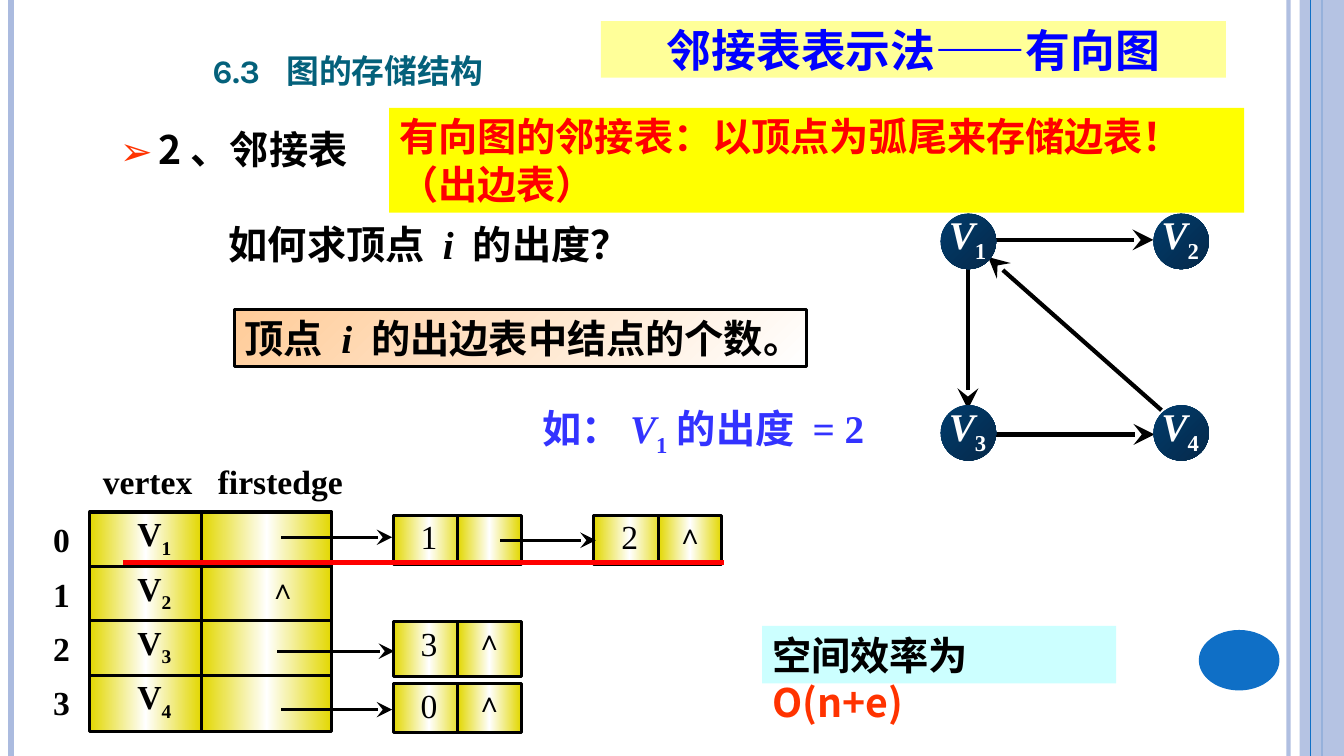
from lxml import etree
from pptx import Presentation
from pptx import util as u
from pptx.dml.color import RGBColor
from pptx.enum import shapes, text
from pptx.oxml import parse_xml
from pptx.oxml.ns import nsdecls, qn

PX = 9144  # one hundredth of an inch
SERIF, SANS = "Times New Roman", "Noto Sans CJK SC"
BLACK, WHITE, RED, BLUE, PALE = "000000", "FFFFFF", "FF0000", "0F6FC6", "ABBBDF"
GOLD = [(0, "E2D700"), (50, WHITE), (100, "E2D700")]
NAVY = [(0, "003C6C"), (100, "06294A")]
PEACH = [(0, "FFCC99"), (100, WHITE)]
TIGHT = (10, 1, 10, 5)
SUB = {"sub": True, "italic": False}
RECT, OVAL = shapes.MSO_SHAPE.RECTANGLE, shapes.MSO_SHAPE.OVAL
LEFT, CENTER = text.PP_ALIGN.LEFT, text.PP_ALIGN.CENTER
TOP, MIDDLE, BOTTOM = (text.MSO_ANCHOR.TOP, text.MSO_ANCHOR.MIDDLE,
                       text.MSO_ANCHOR.BOTTOM)


def color(value):
    return RGBColor.from_string(value)


def px(*values):
    return [value * PX for value in values]


def set_alpha(shape, percent):
    """Make the only solid colour of a shape or line partly transparent."""
    tone = next(shape._element.spPr.iter(qn("a:srgbClr")))
    etree.SubElement(tone, qn("a:alpha")).set("val", str(percent * 1000))


class Page:
    """Holds the slide and draws its elements with one text style."""

    def __init__(self, deck):
        self.slide = deck.slides.add_slide(deck.slide_layouts[1])

    def fill_text(self, box, parts, size=28, font=SERIF, tone=BLACK, bold=True,
                  align=LEFT, anchor=TOP, inset=(10, 5, 10, 5), wrap=True):
        """Fill the first paragraph with (text, changes) parts."""
        frame = box.text_frame
        frame.word_wrap = wrap
        frame.auto_size = text.MSO_AUTO_SIZE.NONE
        frame.vertical_anchor = anchor
        (frame.margin_left, frame.margin_top,
         frame.margin_right, frame.margin_bottom) = px(*inset)
        para = frame.paragraphs[0]
        para.alignment = align
        para.space_before = u.Pt(0)
        for words, changes in parts:
            if changes.get("new_line"):
                para.add_line_break()
            span = para.add_run()
            span.text = words
            span.font.size = u.Pt(size)
            span.font.name = font
            span.font.bold = bold
            span.font.italic = changes.get("italic", False)
            span.font.color.rgb = color(changes.get("tone", tone))
            props = span._r.get_or_add_rPr()
            etree.SubElement(props, qn("a:ea")).set("typeface", SANS)
            if changes.get("sub"):
                props.set("baseline", "-25000")
        return para

    def placeholder(self, index, place, parts, **style):
        box = self.slide.placeholders[index]
        box.left, box.top, box.width, box.height = px(*place)
        return self.fill_text(box, parts, **style)

    def label(self, place, parts, **style):
        box = self.slide.shapes.add_textbox(*px(*place))
        return self.fill_text(box, parts, **style)

    def shape(self, kind, place, fill, line=None, angle=0, parts=(), **style):
        """Draw a shape; fill is a hex string or a list of gradient stops."""
        box = self.slide.shapes.add_shape(kind, *px(*place))
        box.shadow.inherit = False
        if isinstance(fill, str):
            box.fill.solid()
            box.fill.fore_color.rgb = color(fill)
        else:
            stops = "".join(
                f'<a:gs pos="{at * 1000}"><a:srgbClr val="{tone}"/></a:gs>'
                for at, tone in fill)
            gradient = parse_xml(
                f'<a:gradFill {nsdecls("a")} rotWithShape="1"><a:gsLst>{stops}'
                f'</a:gsLst><a:lin ang="{angle * 60000}" scaled="1"/></a:gradFill>')
            box._element.spPr.find(qn("a:prstGeom")).addnext(gradient)
        if line:
            box.line.color.rgb = color(line)
            box.line.width = u.Pt(2.25)
        else:
            box.line.fill.background()
        if parts:
            self.fill_text(box, parts, **style)
        return box

    def line(self, ends, tone=BLACK, width=2.25, arrow=False):
        link = self.slide.shapes.add_connector(
            shapes.MSO_CONNECTOR.STRAIGHT, *px(*ends))
        link.line.color.rgb = color(tone)
        link.line.width = u.Pt(width)
        props = link._element.spPr
        if arrow:
            head = etree.SubElement(props.find(qn("a:ln")), qn("a:tailEnd"))
            head.set("type", "stealth")
            head.set("w", "lg")
            head.set("len", "lg")
        etree.SubElement(props, qn("a:effectLst"))
        return link

    def cell(self, place, parts=(), **style):
        self.shape(RECT, place, GOLD, BLACK, parts=parts, align=CENTER,
                   **{"inset": TIGHT, **style})


def draw_frame(page):
    set_alpha(page.line((1278, 0, 1278, 750), PALE, 3), 93)
    page.line((11, 0, 11, 750), PALE, 4.5)
    page.line((1311, 0, 1311, 750), BLUE, 1.5)
    set_alpha(page.shape(RECT, (1289, 0, 44, 750), PALE), 87)
    page.line((1300, 0, 1300, 750), BLUE, 0.75)
    page.shape(OVAL, (1189, 625, 80, 60), BLUE)


def draw_headings(page):
    title = page.placeholder(0, (201, 35, 488, 61), [("6.3  图的存储结构", {})],
                             size=29.2, font="Karla", tone="04617B", anchor=BOTTOM)
    title.runs[0]._r.get_or_add_rPr().set("cap", "small")
    item = page.placeholder(1, (109, 110, 267, 76), [("2、邻接表", {})], font=SANS)
    item.line_spacing = 1.2
    props = item._p.get_or_add_pPr()
    props.set("marL", str(38 * PX))
    props.set("indent", str(-38 * PX))
    tone = etree.SubElement(props, qn("a:buClr"))
    etree.SubElement(tone, qn("a:srgbClr")).set("val", "FF3300")
    etree.SubElement(props, qn("a:buFont")).set("typeface", SANS)
    etree.SubElement(props, qn("a:buChar")).set("char", "➢")
    page.shape(RECT, (596, 21, 620, 56), "FFFF99",
               parts=[("邻接表表示法——有向图", {})], size=32, font=SANS,
               tone="0000FF", align=CENTER, anchor=MIDDLE)


def draw_graph(page):
    page.line((987, 238, 1144, 238), width=3, arrow=True)
    page.line((960, 266, 960, 406), width=3, arrow=True)
    page.line((984, 431, 1145, 431), width=3, arrow=True)
    page.line((1152, 407, 980, 255), width=3, arrow=True)
    for number in range(4):
        left = 933 + 211 * (number % 2)
        top = 212 + 190 * (number // 2)
        page.shape(OVAL, (left, top, 55, 55), NAVY, angle=45)
        page.label((left + 7, top - 6, 51, 65),
                   [("V", {"italic": True}), (str(number + 1), SUB)],
                   tone=WHITE, inset=(1, 3, 0, 1))


def draw_adjacency_list(page):
    edge_nodes = [(390, 511, 49, "1", ""), (589, 511, 49, "2", "∧"),
                  (390, 617, 54, "3", "∧"), (390, 678, 49, "0", "∧")]
    for left, top, height, vertex, link in edge_nodes:
        page.cell((left, top, 71, height), [(vertex, {})], size=24, bold=False)
        page.cell((left + 64, top, 63, height), [(link, {})] if link else (),
                  size=20, bold=False)
    for row in range(4):
        top = 508 + 54 * row
        page.cell((89, top, 111, 56), [("V", {}), (str(row + 1), SUB)],
                  size=24, inset=(27, 1, 10, 5))
        page.cell((200, top, 129, 56))
    page.label((249, 566, 63, 39), [("∧", {})], size=20, bold=False,
               align=CENTER, inset=TIGHT)

    indexes = page.label((45, 500, 32, 222), [("0", {})], size=24,
                         align=CENTER, inset=TIGHT, wrap=False)
    indexes.line_spacing = 1.35
    frame = page.slide.shapes[-1].text_frame
    for number in "123":
        para = frame.add_paragraph()
        para.text = number
        para.alignment = CENTER
        para.line_spacing = 1.35
        span = para.runs[0]
        span.font.size = u.Pt(24)
        span.font.name = SERIF
        span.font.bold = True
        span.font.color.rgb = color(BLACK)

    header = page.label((87, 456, 268, 48), [("vertex\tfirstedge", {})], size=24,
                        inset=(15, 1, 10, 5))
    tabs = etree.SubElement(header._p.get_or_add_pPr(), qn("a:tabLst"))
    stop = etree.SubElement(tabs, qn("a:tab"))
    stop.set("pos", str(114 * PX))
    stop.set("algn", "l")

    for start, end, level in [(279, 389, 533), (275, 391, 646),
                              (279, 389, 704), (496, 591, 536)]:
        page.line((start, level, end, level), arrow=True)


def draw_notes(page):
    vertex = ("i ", {"italic": True})
    page.label((217, 214, 768, 57), [("如何求顶点 ", {}), vertex, ("的出度？", {})])
    page.shape(RECT, (233, 307, 567, 57), PEACH, BLACK, angle=45,
               parts=[("顶点 ", {}), vertex, ("的出边表中结点的个数。", {})])
    page.label((528, 396, 405, 57),
               [("如：", {}), ("V", {"italic": True}), ("1", SUB), ("的出度 = 2", {})],
               tone="3333FF")
    page.line((122, 558, 718, 558), RED, 3)
    page.shape(RECT, (386, 107, 848, 104), "FFFF00", font=SANS, tone=RED,
               parts=[("有向图的邻接表：以顶点为弧尾来存储边表！（出边表）", {})])
    page.shape(RECT, (756, 621, 351, 57), "CCFFFF", font=SANS,
               parts=[("空间效率为", {}),
                      ("O(n+e)", {"tone": "FF3300", "new_line": True})])


def main():
    deck = Presentation()
    deck.slide_width, deck.slide_height = px(1333, 750)
    page = Page(deck)
    draw_frame(page)
    draw_headings(page)
    draw_graph(page)
    draw_adjacency_list(page)
    draw_notes(page)
    deck.save("out.pptx")


if __name__ == "__main__":
    main()
